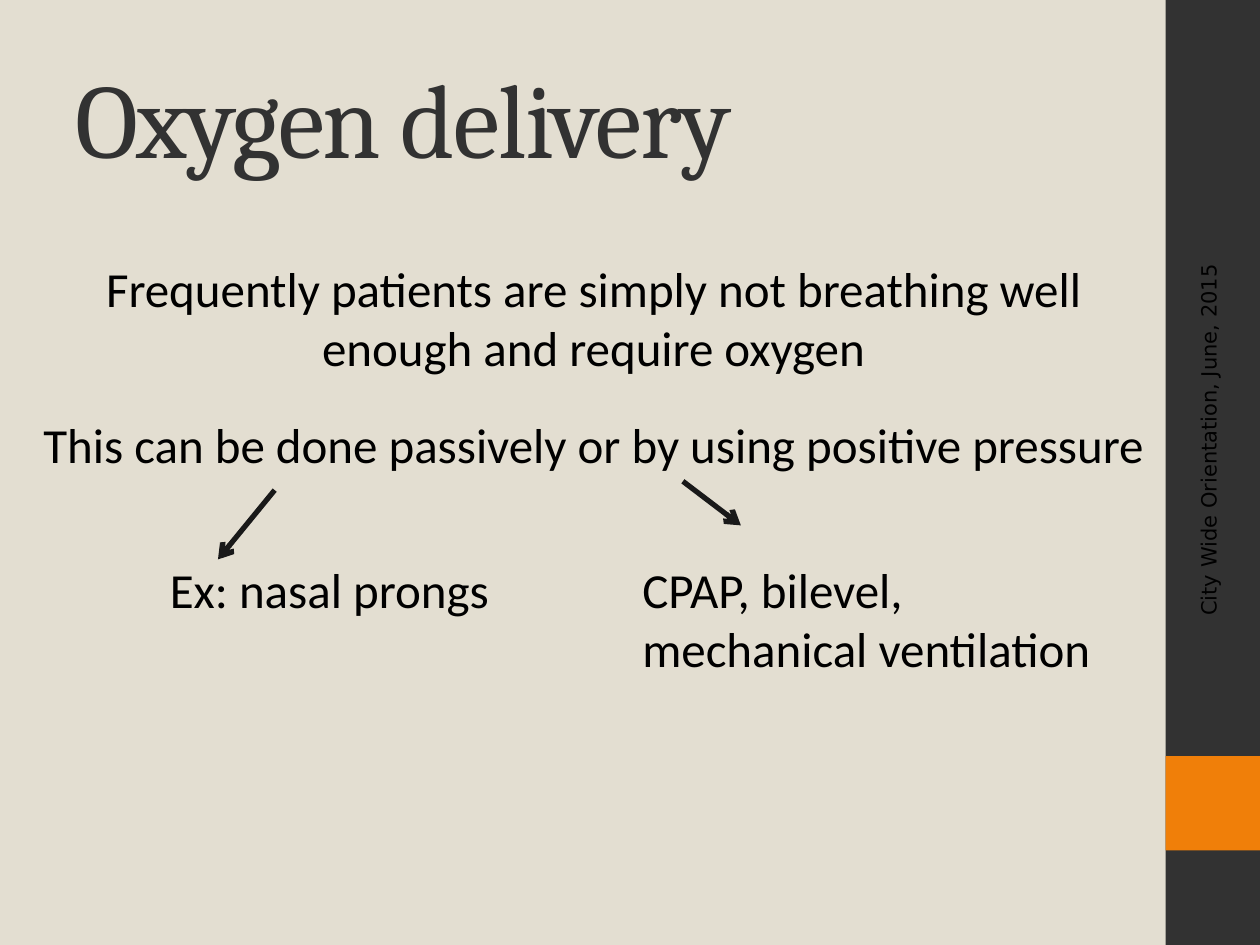
from lxml import etree
from pptx import Presentation
from pptx import util as u
from pptx.dml.color import RGBColor
from pptx.enum import shapes, text
from pptx.oxml.ns import qn

COLORS = {
    "background": "E3DED1",
    "band": "323232",
    "accent": "F07F09",
    "arrow": "191919",
    "text": "000000",
}

deck = Presentation()
deck.slide_width, deck.slide_height = u.Inches(10), u.Inches(7.5)
cell = deck.slide_width / 40
page = deck.slides.add_slide(deck.slide_layouts[5])
page.background.fill.solid()
page.background.fill.fore_color.rgb = RGBColor.from_string(COLORS["background"])


def grid(*lengths):
    return [u.Emu(round(length * cell)) for length in lengths]


def write(box, lines, color, font, frame_format, paragraph_format):
    frame = box.text_frame
    for name, value in frame_format.items():
        setattr(frame, name, value)
    for index, line in enumerate(lines):
        para = frame.add_paragraph() if index else frame.paragraphs[0]
        for name, value in paragraph_format.items():
            if index or name != "space_before":
                setattr(para, name, value)
        span = para.add_run()
        span.text = line
        for name, value in font.items():
            setattr(span.font, name, value)
        span.font.color.rgb = RGBColor.from_string(COLORS[color])


for color, top, height in [("band", 0, 30), ("accent", 24, 3)]:
    block = page.shapes.add_shape(shapes.MSO_SHAPE.RECTANGLE, *grid(37, top, 3, height))
    block.shadow.inherit = False
    block.fill.solid()
    block.fill.fore_color.rgb = RGBColor.from_string(COLORS[color])
    block.line.fill.background()

title = page.shapes.title
title.left, title.top, title.width, title.height = grid(2, 1.2, 33.3, 5)
middle = {
    "word_wrap": True,
    "auto_size": text.MSO_AUTO_SIZE.NONE,
    "vertical_anchor": text.MSO_ANCHOR.MIDDLE,
}
write(title, ["Oxygen delivery"], "band", {"name": "Cambria", "size": u.Pt(60)},
      middle, {"alignment": text.PP_ALIGN.LEFT})
title.text_frame.paragraphs[0].runs[0].font._element.set("spc", "-100")

event = page.shapes.add_textbox(*grid(30.52, 15.04, 15.68, 1.6))
event.rotation = 270
write(event, ["City Wide Orientation, June, 2015"], "text",
      {"name": "DejaVu Sans", "size": u.Pt(12)}, middle,
      {"alignment": text.PP_ALIGN.RIGHT})

body_font = {"name": "Calibri", "size": u.Pt(28)}
statements = [
    "Frequently patients are simply not breathing well enough and require oxygen",
    "This can be done passively or by using positive pressure",
]
passive = ["Ex: nasal prongs"]
pressure = ["CPAP, bilevel,", "mechanical ventilation"]
centered = {"alignment": text.PP_ALIGN.CENTER, "space_before": u.Pt(22)}
left = {"alignment": text.PP_ALIGN.LEFT}
for place, lines, wrap, layout in [
    ((0.68, 8, 36.32, 7.28), statements, True, centered),
    ((5, 17.56, 11.04, 2.28), passive, False, left),
    ((20, 17.56, 15.2, 4.16), pressure, False, left),
]:
    box = page.shapes.add_textbox(*grid(*place))
    fit = {"word_wrap": wrap, "auto_size": text.MSO_AUTO_SIZE.SHAPE_TO_FIT_TEXT}
    write(box, lines, "text", body_font, fit, layout)

for ends in [(8.72, 15.56, 6.92, 17.76), (21.68, 15.28, 23.52, 16.68)]:
    arrow = page.shapes.add_connector(shapes.MSO_CONNECTOR.STRAIGHT, *grid(*ends))
    arrow.line.width = u.Pt(3)
    arrow.line.color.rgb = RGBColor.from_string(COLORS["arrow"])
    etree.SubElement(arrow.line._get_or_add_ln(), qn("a:tailEnd"), type="arrow")
    etree.SubElement(arrow._element.spPr, qn("a:effectLst"))

deck.save("out.pptx")
